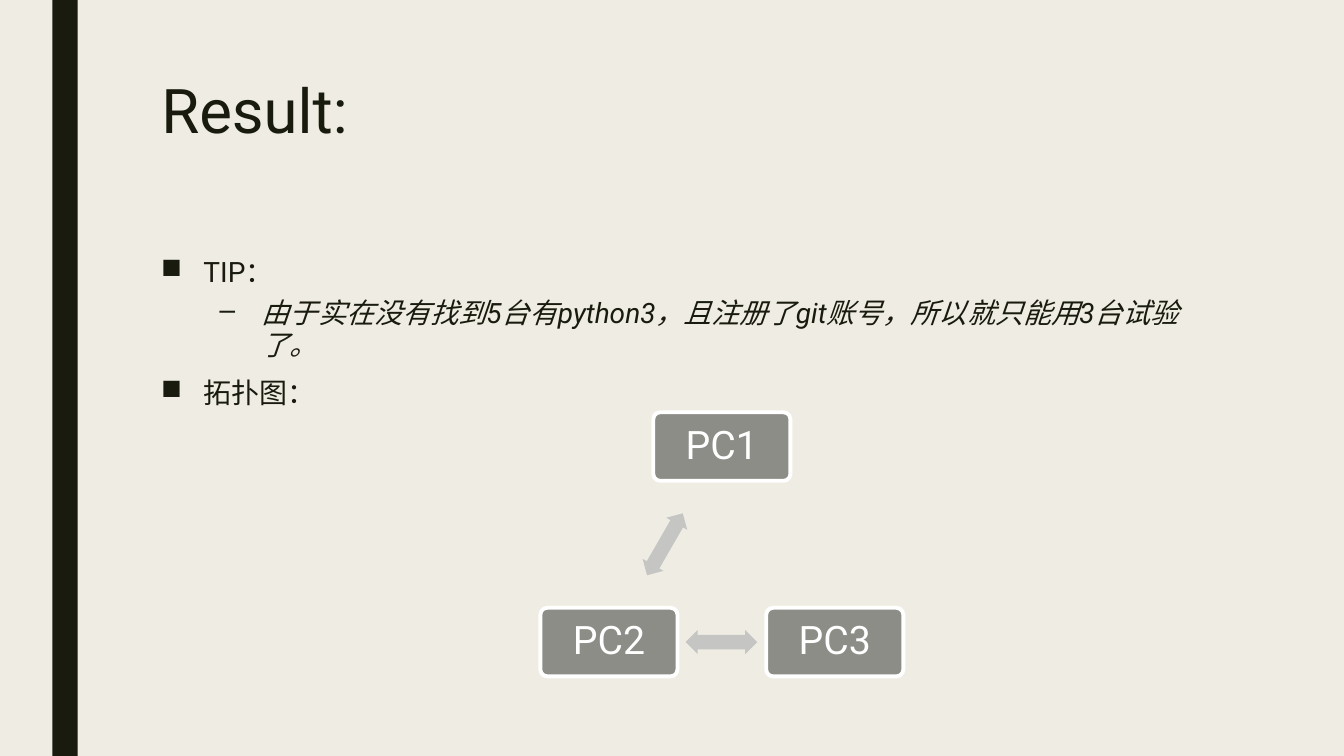
from dataclasses import dataclass
from typing import Any

from lxml.etree import SubElement
from pptx import Presentation
from pptx.dml.color import RGBColor
from pptx.enum.shapes import MSO_SHAPE as Preset
from pptx.enum.text import MSO_ANCHOR as Anchor, MSO_AUTO_SIZE as AutoSize, PP_ALIGN as Align
from pptx.oxml.ns import qn
from pptx.util import Inches, Pt

INK, PAPER, WHITE = "191B0E", "EFEDE3", "FFFFFF"
NODE_FILL, LINK_FILL = "8C8D86", "C5C5C3"


@dataclass
class Point:
    text: str
    level: int = 0


@dataclass
class Node:
    name: str
    left: float
    top: float


@dataclass
class Link:
    left: float
    top: float
    rotation: float


POINTS = [
    Point("TIP："),
    Point("由于实在没有找到5台有python3，且注册了git账号，所以就只能用3台试验了。", 1),
    Point("拓扑图："),
]
NODES = [Node("PC1", 6.48, 4.09), Node("PC2", 5.36, 6.03), Node("PC3", 7.6, 6.03)]
LINKS = [Link(6.24, 5.28, 300), Link(6.8, 6.25, 180)]


def rgb(value: str) -> RGBColor:
    return RGBColor.from_string(value)


def apply(target: Any, values: dict[str, Any]) -> None:
    for key, value in values.items():
        setattr(target, key, value)


def box(left: float, top: float, width: float, height: float) -> list[int]:
    return [Inches(length) for length in (left, top, width, height)]


def style_font(font: Any, size: float, color: str, italic: bool = False) -> None:
    apply(font, {"name": "Roboto", "size": Pt(size), "italic": italic})
    font.color.rgb = rgb(color)


def add_filled(slide: Any, preset: Preset, area: list[int], fill: str) -> Any:
    shape = slide.shapes.add_shape(preset, *area)
    shape.shadow.inherit = False
    shape.fill.solid()
    shape.fill.fore_color.rgb = rgb(fill)
    shape.line.fill.background()
    return shape


def add_title(slide: Any, text: str) -> None:
    title = slide.shapes.title
    apply(title, dict(zip(("left", "top", "width", "height"), box(1.5, 0.75, 10.5, 1.62))))
    frame = title.text_frame
    apply(frame, {"text": text, "vertical_anchor": Anchor.TOP,
                  "auto_size": AutoSize.NONE, "word_wrap": True})
    heading = frame.paragraphs[0]
    apply(heading, {"alignment": Align.LEFT, "line_spacing": 0.89})
    style_font(heading.runs[0].font, 44, INK)


def add_points(slide: Any, points: list[Point]) -> None:
    frame = slide.shapes.add_textbox(*box(1.5, 2.5, 10.5, 3.92)).text_frame
    frame.word_wrap = True
    for index, point in enumerate(points):
        paragraph = frame.add_paragraph() if index else frame.paragraphs[0]
        nested = point.level > 0
        apply(paragraph, {"text": point.text, "level": point.level, "line_spacing": 0.94,
                          "space_before": Pt(5 if nested else 10), "space_after": Pt(2)})
        style_font(paragraph.runs[0].font, 20, INK, nested)
        properties = paragraph._p.get_or_add_pPr()
        properties.set("marL", str(Inches(1 if nested else 0.42)))
        properties.set("indent", str(Inches(-0.42)))
        SubElement(properties, qn("a:buChar")).set("char", "–" if nested else "■")


def add_node(slide: Any, node: Node) -> None:
    shape = add_filled(slide, Preset.ROUNDED_RECTANGLE,
                       box(node.left, node.top, 1.36, 0.68), NODE_FILL)
    shape.adjustments[0] = 0.1
    shape.line.color.rgb = rgb(WHITE)
    shape.line.width = Pt(2.75)
    frame = shape.text_frame
    margins = dict.fromkeys(
        ("margin_left", "margin_top", "margin_right", "margin_bottom"), Inches(0.12))
    apply(frame, {"text": node.name, "vertical_anchor": Anchor.MIDDLE, **margins})
    label = frame.paragraphs[0]
    apply(label, {"alignment": Align.CENTER, "line_spacing": 0.9})
    style_font(label.runs[0].font, 28, WHITE)


def add_link(slide: Any, link: Link) -> None:
    arrow = add_filled(slide, Preset.LEFT_RIGHT_ARROW,
                       box(link.left, link.top, 0.71, 0.24), LINK_FILL)
    arrow.rotation = link.rotation
    arrow.adjustments[0] = 0.6
    arrow.adjustments[1] = 0.5


def main() -> None:
    deck = Presentation()
    apply(deck, {"slide_width": Inches(13.33), "slide_height": Inches(7.5)})
    slide = deck.slides.add_slide(deck.slide_layouts[5])
    slide.background.fill.solid()
    slide.background.fill.fore_color.rgb = rgb(PAPER)
    add_filled(slide, Preset.RECTANGLE, box(0.52, 0, 0.25, 7.5), INK)
    add_title(slide, "Result:")
    add_points(slide, POINTS)
    for node in NODES:
        add_node(slide, node)
    for link in LINKS:
        add_link(slide, link)
    deck.save("out.pptx")


if __name__ == "__main__":
    main()
